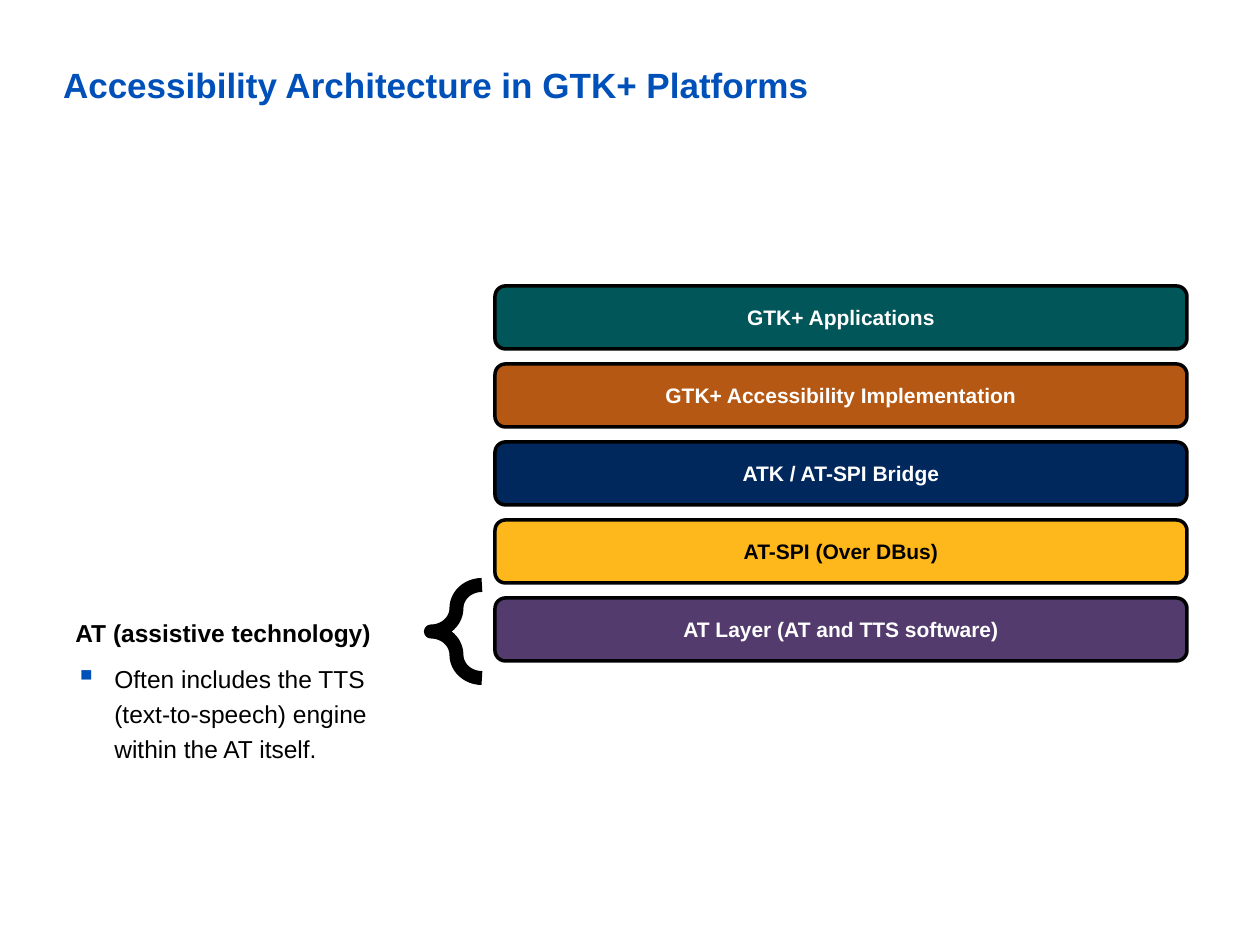
import pptx
import pptx.dml.color
import pptx.enum.shapes
import pptx.enum.text
import pptx.oxml.ns
import pptx.util
from lxml import etree

PX_PER_INCH = 126
SHAPES = pptx.enum.shapes.MSO_SHAPE
ALIGN = pptx.enum.text.PP_ALIGN
ANCHOR = pptx.enum.text.MSO_ANCHOR

BLUE, BLACK, WHITE = "0050B9", "000000", "FFFFFF"


def px(length):
    return pptx.util.Emu(round(length * 914400 / PX_PER_INCH))


def color(hex_text):
    return pptx.dml.color.RGBColor.from_string(hex_text)


class SlideBuilder:
    font_name = "Arial"

    def __init__(self, deck):
        self.slide = deck.slides.add_slide(deck.slide_layouts[5])

    def style(self, para, size, font_color, bold=False, align=ALIGN.LEFT):
        para.alignment = align
        font = para.font
        font.name, font.size, font.bold = self.font_name, pptx.util.Pt(size), bold
        font.color.rgb = color(font_color)

    def place(self, box, left, top, width, height):
        box.left, box.top, box.width, box.height = map(px, (left, top, width, height))

    def insets(self, frame, side, vertical):
        frame.margin_left = frame.margin_right = px(side)
        frame.margin_top = frame.margin_bottom = px(vertical)

    def title(self, text, *area):
        box = self.slide.shapes.title
        self.place(box, *area)
        frame = box.text_frame
        frame.text = text
        frame.word_wrap = True
        frame.auto_size = pptx.enum.text.MSO_AUTO_SIZE.NONE
        frame.vertical_anchor = ANCHOR.TOP
        self.insets(frame, 0, 0)
        self.style(frame.paragraphs[0], 20, BLUE, bold=True)

    def shape(self, kind, area, line_width, fill=None):
        shape = self.slide.shapes.add_shape(kind, *map(px, area))
        shape.shadow.inherit = False
        shape.line.color.rgb = color(BLACK)
        shape.line.width = pptx.util.Pt(line_width)
        if fill:
            shape.fill.solid()
            shape.fill.fore_color.rgb = color(fill)
        else:
            shape.fill.background()
        return shape

    def layer(self, text, area, fill, font_color):
        frame = self.shape(SHAPES.ROUNDED_RECTANGLE, area, 2, fill).text_frame
        frame.text = text
        frame.word_wrap = True
        frame.vertical_anchor = ANCHOR.MIDDLE
        self.insets(frame, 0, 6)
        self.style(frame.paragraphs[0], 12, font_color, True, ALIGN.CENTER)

    def brace(self, *area):
        brace = self.shape(SHAPES.LEFT_BRACE, area, 8)
        brace.adjustments[0] = 0.47
        brace.adjustments[1] = 0.5

    def bullet(self, para, indent):
        properties = para._p.get_or_add_pPr()
        properties.set("marL", str(px(indent)))
        properties.set("indent", str(-px(indent)))
        qn = pptx.oxml.ns.qn
        bullet_color = etree.SubElement(properties, qn("a:buClr"))
        etree.SubElement(bullet_color, qn("a:srgbClr"), val=BLUE)
        etree.SubElement(properties, qn("a:buSzPct"), val="120000")
        etree.SubElement(properties, qn("a:buChar"), char="▪")

    def note(self, heading, detail, *area):
        frame = self.slide.shapes.add_textbox(*map(px, area)).text_frame
        frame.word_wrap = True
        heading_para, detail_para = frame.paragraphs[0], frame.add_paragraph()
        heading_para.text, detail_para.text = heading, detail
        self.bullet(detail_para, 39)
        for para in (heading_para, detail_para):
            para.line_spacing = 1.2
            para.space_after = pptx.util.Pt(6)
            self.style(para, 14, BLACK, bold=para is heading_para)


def main():
    deck = pptx.Presentation()
    deck.slide_width, deck.slide_height = px(1260), px(945)
    builder = SlideBuilder(deck)

    builder.title("Accessibility Architecture in GTK+ Platforms", 63, 63, 1134, 116)

    # Architecture layers, top to bottom
    layers = [
        ("GTK+ Applications", "005659", WHITE),
        ("GTK+ Accessibility Implementation", "B55813", WHITE),
        ("ATK / AT-SPI Bridge", "00285C", WHITE),
        ("AT-SPI (Over DBus)", "FFB81C", BLACK),
        ("AT Layer (AT and TTS software)", "533C6D", WHITE),
    ]
    first_top, pitch = 286, 78
    for row, (text, fill, font_color) in enumerate(layers):
        area = (495, first_top + row * pitch, 692, 63)
        builder.layer(text, area, fill, font_color)

    # Explanation of the lowest layer
    builder.brace(431, 585, 51, 93)
    builder.note(
        "AT (assistive technology)",
        "Often includes the TTS (text-to-speech) engine within the AT itself.",
        63, 606, 368, 209,
    )

    deck.save("out.pptx")


if __name__ == "__main__":
    main()
